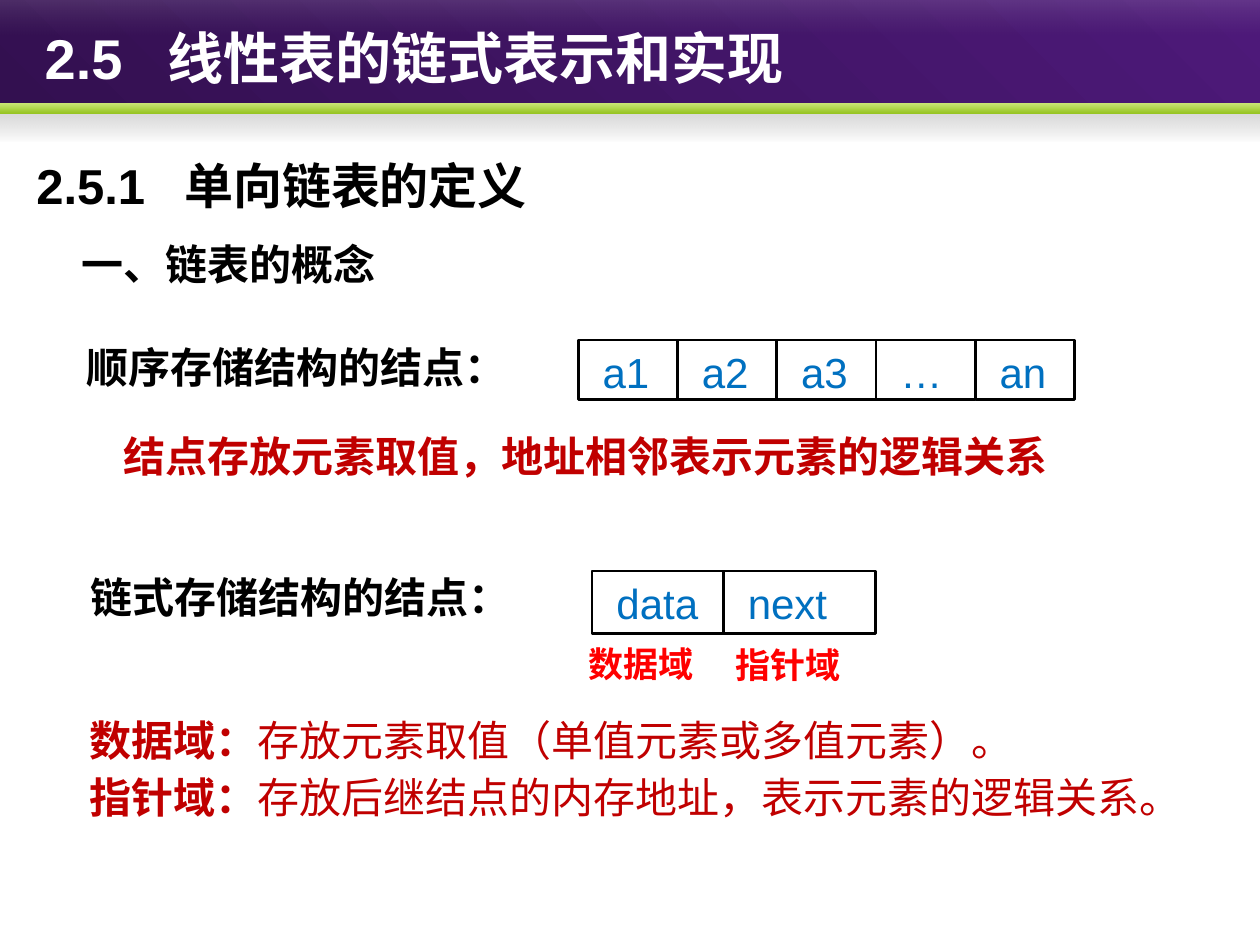
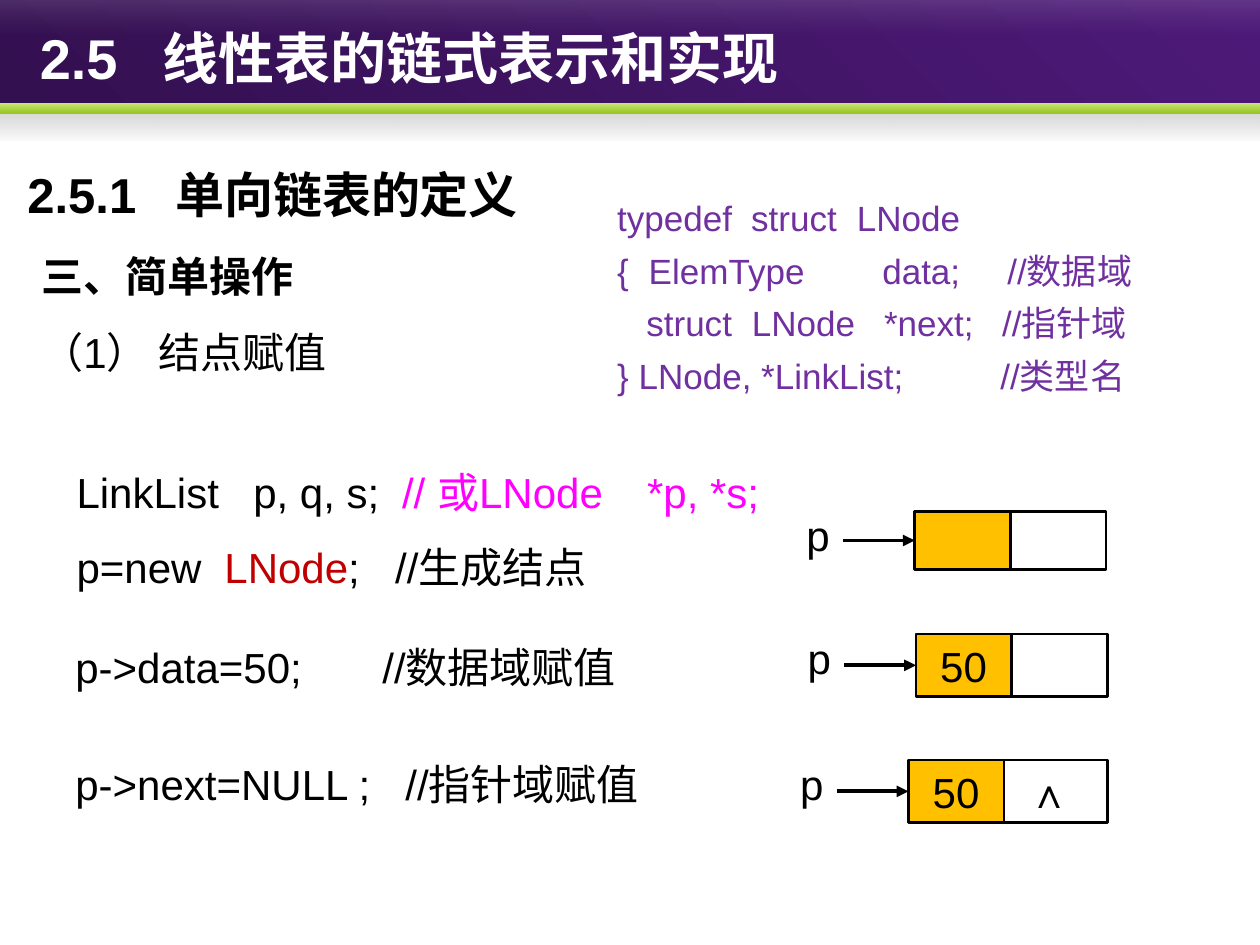
"""Build two slides on the definition and simple operations of singly linked lists."""
import lxml.etree
import pptx
import pptx.dml.color
import pptx.enum.shapes
import pptx.enum.text
import pptx.oxml.ns
import pptx.util

Pt = pptx.util.Pt
qn = pptx.oxml.ns.qn

FONT = "Arial"
BLACK, WHITE, RED, DARK_RED = "000000", "FFFFFF", "FF0000", "C00000"
BLUE, PURPLE, MAGENTA, AMBER = "0070C0", "7030A0", "FF00FF", "FFC000"

TITLE = "2.5\t线性表的链式表示和实现"
HEADING = "2.5.1\t单向链表的定义"

BANDS = [
    (0, 64.8, 315, [("331050", 100), ("4D1979", 100)]),
    (63.4, 17.3, 90, [("808080", 33), ("5C5C5C", 0)]),
    (59, 5.8, 90, [("C9E576", 100), ("97C523", 100)]),
    (0, 20.2, 90, [("FFFFFF", 13), ("B6B6B6", 0)]),
]


def line(*runs, tabs=()):
    return runs, tabs


def plain(text, color=BLACK, bold=False, tabs=()):
    return line((text, color, bold), tabs=tabs)


CONCEPT = {
    "title_left": 18.5,
    "heading": (13.7, 68.4),
    "texts": [
        (39.6, 123.8, 638, 44, 24, Pt(38), [plain("一、链表的概念", bold=True)]),
        (42.5, 191.5, 258.5, 36, 24, None, [plain("顺序存储结构的结点：", bold=True)]),
        (63.4, 242.6, 551, 36, 24, None,
         [plain("结点存放元素取值，地址相邻表示元素的逻辑关系", DARK_RED, True)]),
        (44.6, 323.3, 258.5, 36, 24, None, [plain("链式存储结构的结点：", bold=True)]),
        (329, 363.6, 76, 32, 20, None, [plain("数据域", RED, True)]),
        (413.3, 364.3, 76, 32, 20, None, [plain("指针域", RED, True)]),
        (43.9, 400.3, 641.6, 80, 24, Pt(33), [
            line(("数据域：", DARK_RED, True),
                 ("存放元素取值（单值元素或多值元素）。", DARK_RED, False)),
            line(("指针域：", DARK_RED, True),
                 ("存放后继结点的内存地址，表示元素的逻辑关系。", DARK_RED, False)),
        ]),
    ],
}
SEQUENTIAL_CELLS = [(name, 56.7, None) for name in ("a1", "a2", "a3", "…", "an")]
LINKED_CELLS = [("data", 75, None), ("next", 87, None)]

OPERATIONS = {
    "title_left": 15.7,
    "heading": (8.6, 73.4),
    "texts": [
        (16.6, 125.3, 287, 93, 24, 1.5,
         [plain("三、简单操作", bold=True), plain("（1） 结点赋值")]),
        (36.7, 248.4, 412, 85, 24, 1.5, [
            line(("LinkList\tp, q, s;\t", BLACK, False),
                 ("// 或LNode\t*p, *s;", MAGENTA, False), tabs=(101, 186, 326)),
            line(("p=new\t", BLACK, False), ("LNode", DARK_RED, False),
                 (";\t//生成结点", BLACK, False), tabs=(84.5, 182)),
        ]),
        (36, 362.9, 412, 37, 24, None, [plain("p->data=50;\t//数据域赋值", tabs=(175.5,))]),
        (36, 429.8, 412, 38, 24, None, [plain("p->next=NULL ;\t//指针域赋值", tabs=(188.6,))]),
        (345.6, 103, 336, 132, 20, Pt(30), [
            plain("typedef\tstruct\tLNode", PURPLE, tabs=(76.6, 137)),
            plain("{\tElemType\tdata;\t//数据域", PURPLE, tabs=(18, 151.5, 223)),
            plain("   struct\tLNode\t*next;\t//指针域", PURPLE, tabs=(77, 152.5, 220)),
            plain("} LNode, *LinkList;\t//类型名", PURPLE, tabs=(219,)),
        ]),
    ],
}
POINTED_NODES = [
    (522.7, 292.3, 33.1, [("", 54.7, AMBER), ("", 54.7, None)]),
    (523.4, 362.2, 36, [("50", 54.7, AMBER), ("", 54.7, None)]),
    (519.1, 434.2, 36, [("50", 54.7, AMBER), ("∧", 59, None)]),
]


def rgb(value):
    return pptx.dml.color.RGBColor.from_string(value)


def format_span(span, size, color, bold):
    span.font.name, span.font.size, span.font.bold = FONT, Pt(size), bold
    span.font.color.rgb = rgb(color)


def add_text(slide, left, top, width, height, size, spacing, lines):
    box = slide.shapes.add_textbox(Pt(left), Pt(top), Pt(width), Pt(height))
    frame = box.text_frame
    frame.word_wrap = True
    for index, (runs, tabs) in enumerate(lines):
        para = frame.add_paragraph() if index else frame.paragraphs[0]
        if spacing:
            para.line_spacing = spacing
        if tabs:
            properties = para._p.get_or_add_pPr()
            stops = lxml.etree.SubElement(properties, qn("a:tabLst"))
            for position in tabs:
                lxml.etree.SubElement(stops, qn("a:tab"), pos=str(int(Pt(position))), algn="l")
        for text, color, bold in runs:
            span = para.add_run()
            span.text = text
            format_span(span, size, color, bold)
    return box


def add_rectangle(slide, left, top, width, height):
    box = slide.shapes.add_shape(pptx.enum.shapes.MSO_SHAPE.RECTANGLE,
                                 Pt(left), Pt(top), Pt(width), Pt(height))
    box.shadow.inherit = False
    return box


def add_band(slide, top, height, angle, colors):
    band = add_rectangle(slide, 0, top, 720, height)
    band.line.fill.background()
    band.fill.gradient()
    gradient = band._element.spPr.find(qn("a:gradFill"))
    for child in list(gradient):
        gradient.remove(child)
    stops = lxml.etree.SubElement(gradient, qn("a:gsLst"))
    for position, (color, opacity) in zip(("0", "100000"), colors):
        stop = lxml.etree.SubElement(stops, qn("a:gs"), pos=position)
        shade = lxml.etree.SubElement(stop, qn("a:srgbClr"), val=color)
        lxml.etree.SubElement(shade, qn("a:alpha"), val=str(opacity * 1000))
    lxml.etree.SubElement(gradient, qn("a:lin"), ang=str(angle * 60000), scaled="0")


def add_cells(slide, left, top, height, cells):
    boxes = []
    for text, width, fill in cells:
        box = add_rectangle(slide, left, top, width, height)
        if fill:
            box.fill.solid()
            box.fill.fore_color.rgb = rgb(fill)
        else:
            box.fill.background()
        box.line.color.rgb, box.line.width = rgb(BLACK), Pt(1.5)
        if text:
            frame = box.text_frame
            frame.margin_left, frame.margin_right = Pt(13.9), 0
            frame.vertical_anchor = pptx.enum.text.MSO_ANCHOR.TOP
            frame.text = text
            para = frame.paragraphs[0]
            para.alignment = pptx.enum.text.PP_ALIGN.LEFT
            format_span(para.runs[0], 24, BLACK if slide_uses_pointers(cells) else BLUE, text == "∧")
        boxes.append(box)
        left += width
    return boxes


def slide_uses_pointers(cells):
    return any(fill for _, _, fill in cells)


def add_pointed_node(slide, left, top, height, cells):
    first = add_cells(slide, left, top, height, cells)[0]
    middle = Pt(top + height / 2)
    arrow = slide.shapes.add_connector(pptx.enum.shapes.MSO_CONNECTOR.STRAIGHT,
                                       Pt(left - 41), middle, Pt(left), middle)
    arrow.end_connect(first, 1)
    arrow.line.color.rgb, arrow.line.width = rgb(BLACK), Pt(2.25)
    lxml.etree.SubElement(arrow.line._get_or_add_ln(), qn("a:tailEnd"), type="triangle")
    lxml.etree.SubElement(arrow._element.spPr, qn("a:effectLst"))
    add_text(slide, left - 69, top - 4.5, 28, 36, 24, None, [plain("p")])


def add_slide(deck, content):
    slide = deck.slides.add_slide(deck.slide_layouts[6])
    for band in BANDS:
        add_band(slide, *band)
    title = add_text(slide, content["title_left"], 0, 700, 64.8, 32, None,
                     [plain(TITLE, WHITE, True, (70,))])
    title.text_frame.vertical_anchor = pptx.enum.text.MSO_ANCHOR.MIDDLE
    add_text(slide, *content["heading"], 497.5, 58.3, 28, 1.5,
             [plain(HEADING, bold=True, tabs=(84.5,))])
    for text in content["texts"]:
        add_text(slide, *text)
    return slide


def main():
    deck = pptx.Presentation()
    deck.slide_width, deck.slide_height = Pt(720), Pt(540)
    concept = add_slide(deck, CONCEPT)
    add_cells(concept, 330.5, 194.4, 33.8, SEQUENTIAL_CELLS)
    add_cells(concept, 338.4, 326.2, 36, LINKED_CELLS)
    operations = add_slide(deck, OPERATIONS)
    for node in POINTED_NODES:
        add_pointed_node(operations, *node)
    deck.save("out.pptx")


if __name__ == "__main__":
    main()
